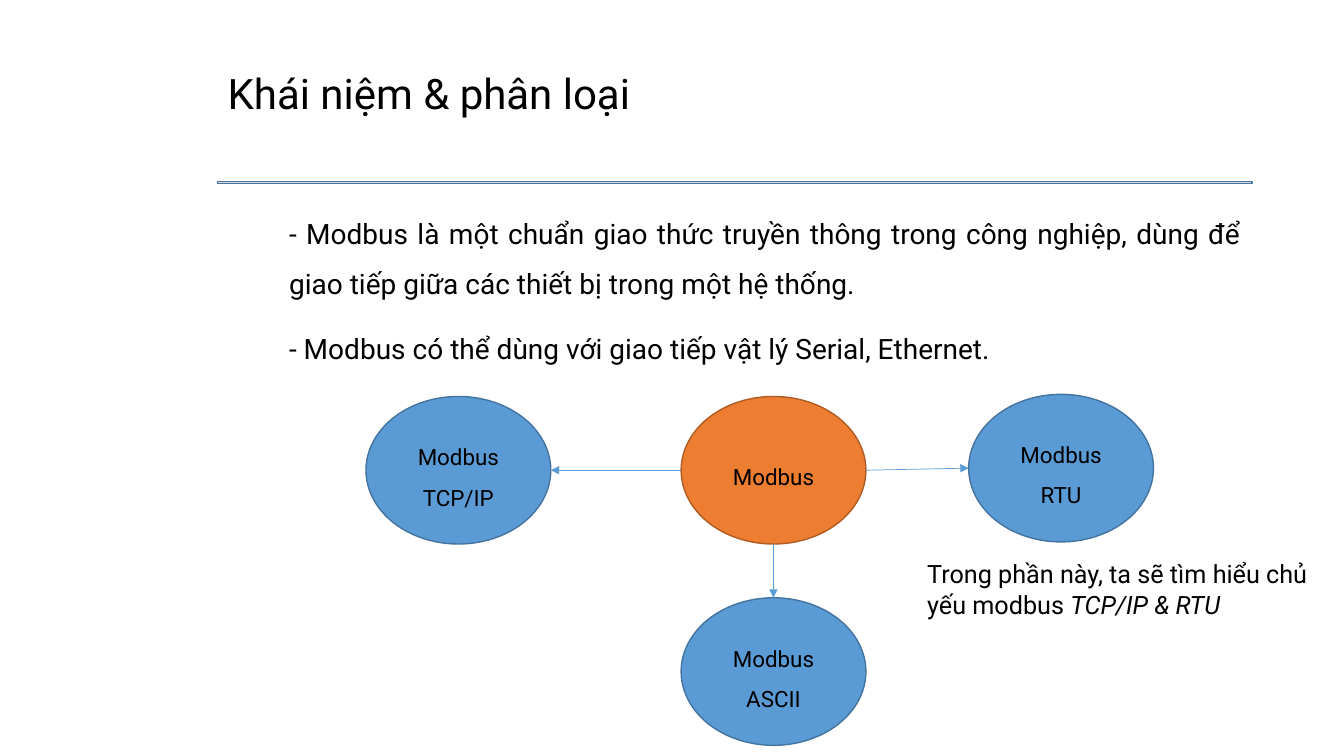
import pptx
import pptx.dml.color
import pptx.enum.shapes
import pptx.enum.text
import pptx.oxml
import pptx.oxml.ns
import pptx.util
from pptx.util import Pt

COLORS = {"text": "000000", "blue": "5B9BD5", "blue_edge": "43739E",
          "orange": "ED7D31", "orange_edge": "AF5C24", "rule": "D9D9D9"}
ALIGN = pptx.enum.text.PP_ALIGN
ANCHOR = pptx.enum.text.MSO_ANCHOR
SHAPE = pptx.enum.shapes.MSO_SHAPE


def write(shape, paragraphs, size, anchor, **formats):
    """Fill a shape with paragraphs, each a list of (text, italic) runs."""
    frame = shape.text_frame
    frame.word_wrap = True
    frame.vertical_anchor = anchor
    for index, runs in enumerate(paragraphs):
        paragraph = frame.add_paragraph() if index else frame.paragraphs[0]
        for name, value in formats.items():
            setattr(paragraph, name, value)
        for text, italic in runs:
            run = paragraph.add_run()
            run.text = text
            for name, value in {"name": "Roboto", "size": Pt(size), "italic": italic}.items():
                setattr(run.font, name, value)
            run.font.color.rgb = pptx.dml.color.RGBColor.from_string(COLORS["text"])


def add_filled(kind, box, fill, edge):
    shape = slide.shapes.add_shape(kind, *map(Pt, box))
    shape.shadow.inherit = False
    shape.fill.solid()
    shape.fill.fore_color.rgb = pptx.dml.color.RGBColor.from_string(COLORS[fill])
    shape.line.color.rgb = pptx.dml.color.RGBColor.from_string(COLORS[edge])
    shape.line.width = Pt(1)
    return shape


presentation = pptx.Presentation()
presentation.slide_width = Pt(960)
presentation.slide_height = Pt(540)
slide = presentation.slides.add_slide(presentation.slide_layouts[6])

# Heading and body
add_filled(SHAPE.RECTANGLE, (155.5, 129.6, 738.7, 1.5), "rule", "blue_edge")
title = slide.shapes.add_textbox(Pt(155.5), Pt(47.5), Pt(738.7), Pt(41.8))
write(title, [[("Khái niệm & phân loại", None)]], 30, ANCHOR.MIDDLE, line_spacing=0.9)

body = slide.shapes.add_textbox(Pt(199.4), Pt(139), Pt(694), Pt(137.5))
statements = [
    "- Modbus là một chuẩn giao thức truyền thông trong công nghiệp, "
    "dùng để giao tiếp giữa các thiết bị trong một hệ thống.",
    "- Modbus có thể dùng với giao tiếp vật lý Serial, Ethernet.",
]
write(body, [[(statement, None)] for statement in statements], 20, ANCHOR.TOP,
      alignment=ALIGN.JUSTIFY, line_spacing=1.5, space_before=Pt(10))

# Modbus and its variants
NODE_WIDTH, NODE_HEIGHT = 132, 105.4
nodes = [
    ("Modbus", 486.5, 283.2, "orange"),
    ("Modbus RTU", 691.9, 281.7, "blue"),
    ("Modbus TCP/IP", 261.4, 283.2, "blue"),
    ("Modbus ASCII", 486.5, 427, "blue"),
]
sides = {}
for label, left, top, color in nodes:
    node = add_filled(SHAPE.OVAL, (left, top, NODE_WIDTH, NODE_HEIGHT), color, color + "_edge")
    write(node, [[(label, None)]], 16, ANCHOR.MIDDLE,
          alignment=ALIGN.CENTER, line_spacing=1.5, space_before=Pt(10))
    center, middle = left + NODE_WIDTH / 2, top + NODE_HEIGHT / 2
    sides[label] = {"left": (left, middle), "right": (left + NODE_WIDTH, middle),
                    "top": (center, top), "bottom": (center, top + NODE_HEIGHT)}

arrows = [("right", "Modbus RTU", "left"), ("bottom", "Modbus ASCII", "top"),
          ("left", "Modbus TCP/IP", "right")]
for start_side, target, end_side in arrows:
    ends = sides["Modbus"][start_side] + sides[target][end_side]
    arrow = slide.shapes.add_connector(pptx.enum.shapes.MSO_CONNECTOR.STRAIGHT, *map(Pt, ends))
    arrow.line.color.rgb = pptx.dml.color.RGBColor.from_string(COLORS["blue"])
    arrow.line.width = Pt(0.5)
    head = pptx.oxml.parse_xml(f'<a:tailEnd {pptx.oxml.ns.nsdecls("a")} type="triangle"/>')
    arrow.line._get_or_add_ln().append(head)
    no_effects = pptx.oxml.parse_xml(f'<a:effectLst {pptx.oxml.ns.nsdecls("a")}/>')
    arrow._element.spPr.append(no_effects)

note = slide.shapes.add_textbox(Pt(655.2), Pt(395.5), Pt(288.7), Pt(50.9))
write(note, [[("Trong phần này, ta sẽ tìm hiểu chủ yếu modbus ", None), ("TCP/IP & RTU", True)]],
      18, ANCHOR.TOP)

presentation.save("out.pptx")
